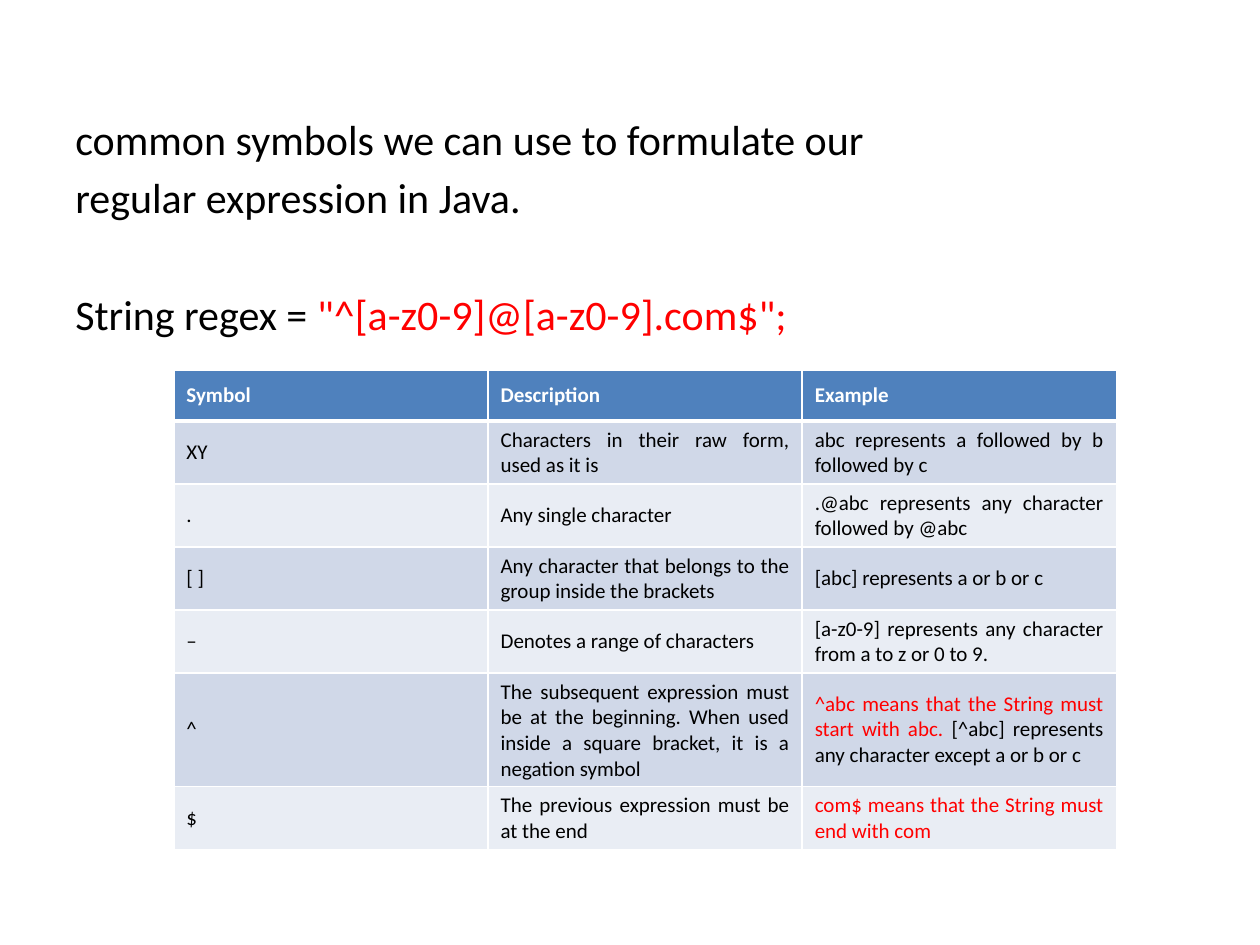
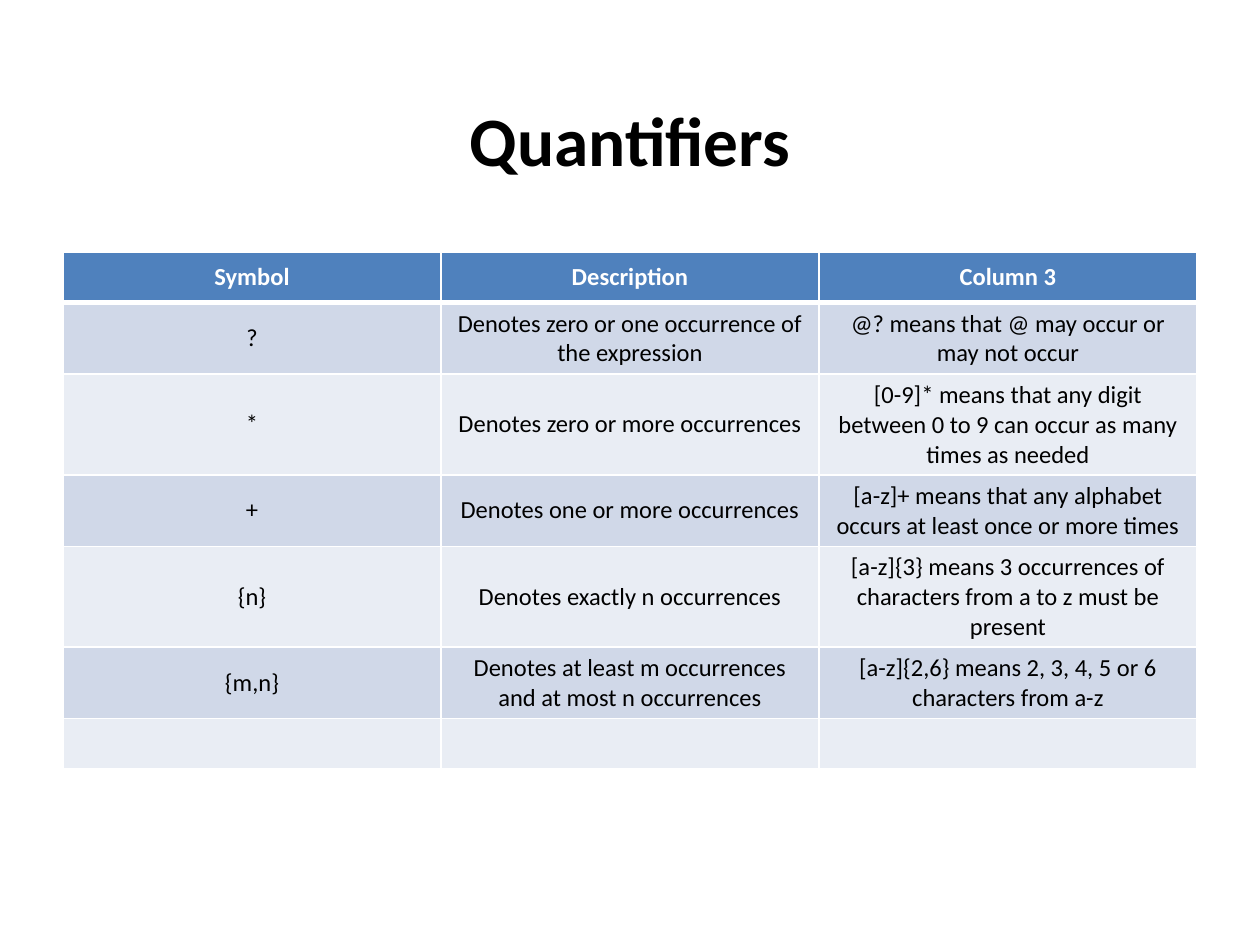
from pptx import Presentation
from pptx.dml.color import RGBColor
from pptx.enum.text import MSO_ANCHOR, PP_ALIGN
from pptx.oxml.ns import qn
from pptx.util import Inches, Pt
from lxml.etree import SubElement

# Shared style
FONT = "Calibri"
BLACK, WHITE, RED = "000000", "FFFFFF", "FF0000"
HEADER_FILL = "4F81BD"
BAND_FILLS = ("D0D8E8", "E9EDF4")
ROW_HEIGHT = 0.4

# Content: a text is a list of (words, colour) runs, or a plain string
INTRO = [  # (text, space before in points)
    ("common symbols we can use to formulate our", 0),
    ("regular expression in Java.", 4.5),
    ([("String regex = ", BLACK), ('"^[a-z0-9]@[a-z0-9].com$";', RED)], 38),
]
SYMBOLS = [
    ("Symbol", "Description", "Example"),
    ("XY", "Characters in their raw form, used as it is",
     "abc represents a followed by b followed by c"),
    (".", "Any single character",
     ".@abc represents any character followed by @abc"),
    ("[ ]", "Any character that belongs to the group inside the brackets",
     "[abc] represents a or b or c"),
    ("–", "Denotes a range of characters",
     "[a-z0-9] represents any character from a to z or 0 to 9."),
    ("^", "The subsequent expression must be at the beginning. When used "
     "inside a square bracket, it is a negation symbol",
     [("^abc means that the String must start with abc. ", RED),
      ("[^abc] represents any character except a or b or c", BLACK)]),
    ("$", "The previous expression must be at the end",
     [("com$ means that the String must end with com", RED)]),
]
QUANTIFIERS = [
    ("Symbol", "Description", "Column 3"),
    ("?", "Denotes zero or one occurrence of the expression",
     "@? means that @ may occur or may not occur"),
    ("*", "Denotes zero or more occurrences",
     "[0-9]* means that any digit between 0 to 9 can occur as many times as needed"),
    ("+", "Denotes one or more occurrences",
     "[a-z]+ means that any alphabet occurs at least once or more times"),
    ("{n}", "Denotes exactly n occurrences",
     "[a-z]{3} means 3 occurrences of characters from a to z must be present"),
    ("{m,n}", "Denotes at least m occurrences and at most n occurrences",
     "[a-z]{2,6} means 2, 3, 4, 5 or 6 characters from a-z"),
    ("", "", ""),
]


def color(value):
    return RGBColor.from_string(value)


def write(para, text, size, default=BLACK, bold=False):
    para.font.size = Pt(size)
    runs = [(text, default)] if isinstance(text, str) else text
    for words, run_color in runs:
        if not words:
            continue
        span = para.add_run()
        span.text = words
        span.font.name = FONT
        span.font.size = Pt(size)
        span.font.bold = bold
        span.font.color.rgb = color(run_color)


def add_box(page, left, top, width, height):
    frame = page.shapes.add_textbox(
        Inches(left), Inches(top), Inches(width), Inches(height)).text_frame
    frame.word_wrap = True
    return frame


def add_border(cell, side, points):
    line = SubElement(cell._tc.get_or_add_tcPr(), qn(f"a:ln{side}"), w=str(Pt(points)))
    fill = SubElement(line, qn("a:solidFill"))
    SubElement(fill, qn("a:srgbClr"), val=WHITE)


def add_grid(page, rows, left, top, width, size, align):
    columns = len(rows[0])
    table = page.shapes.add_table(
        len(rows), columns, Inches(left), Inches(top),
        Inches(width), Inches(ROW_HEIGHT * len(rows))).table
    for column in table.columns:
        column.width = Inches(width / columns)
    for r, texts in enumerate(rows):
        table.rows[r].height = Inches(ROW_HEIGHT)
        header = r == 0
        # The rule under the header is thicker than the others
        weights = {"L": 1, "R": 1, "T": 3 if r == 1 else 1, "B": 3 if header else 1}
        for c, text in enumerate(texts):
            cell = table.cell(r, c)
            for side, points in weights.items():
                add_border(cell, side, points)
            cell.fill.solid()
            cell.fill.fore_color.rgb = color(
                HEADER_FILL if header else BAND_FILLS[(r - 1) % 2])
            cell.vertical_anchor = MSO_ANCHOR.MIDDLE
            para = cell.text_frame.paragraphs[0]
            para.alignment = align
            write(para, text, size, WHITE if header else BLACK, header)


def add_symbols_page(page):
    frame = add_box(page, 0.5, 0.85, 9, 2)
    for i, (text, gap) in enumerate(INTRO):
        para = frame.add_paragraph() if i else frame.paragraphs[0]
        para.space_before = Pt(gap)
        write(para, text, 24)
    add_grid(page, SYMBOLS, 1.38, 2.94, 7.48, 12, PP_ALIGN.JUSTIFY)


def add_quantifiers_page(page):
    frame = add_box(page, 0.5, 0.77, 9, 1.25)
    frame.margin_top = 0
    para = frame.paragraphs[0]
    para.alignment = PP_ALIGN.CENTER
    write(para, "Quantifiers", 39.6, bold=True)
    add_grid(page, QUANTIFIERS, 0.5, 2, 9, 14, PP_ALIGN.CENTER)


def main():
    deck = Presentation()
    deck.slide_width, deck.slide_height = Inches(10), Inches(7.5)
    for build in (add_symbols_page, add_quantifiers_page):
        build(deck.slides.add_slide(deck.slide_layouts[6]))
    deck.save("out.pptx")


if __name__ == "__main__":
    main()
